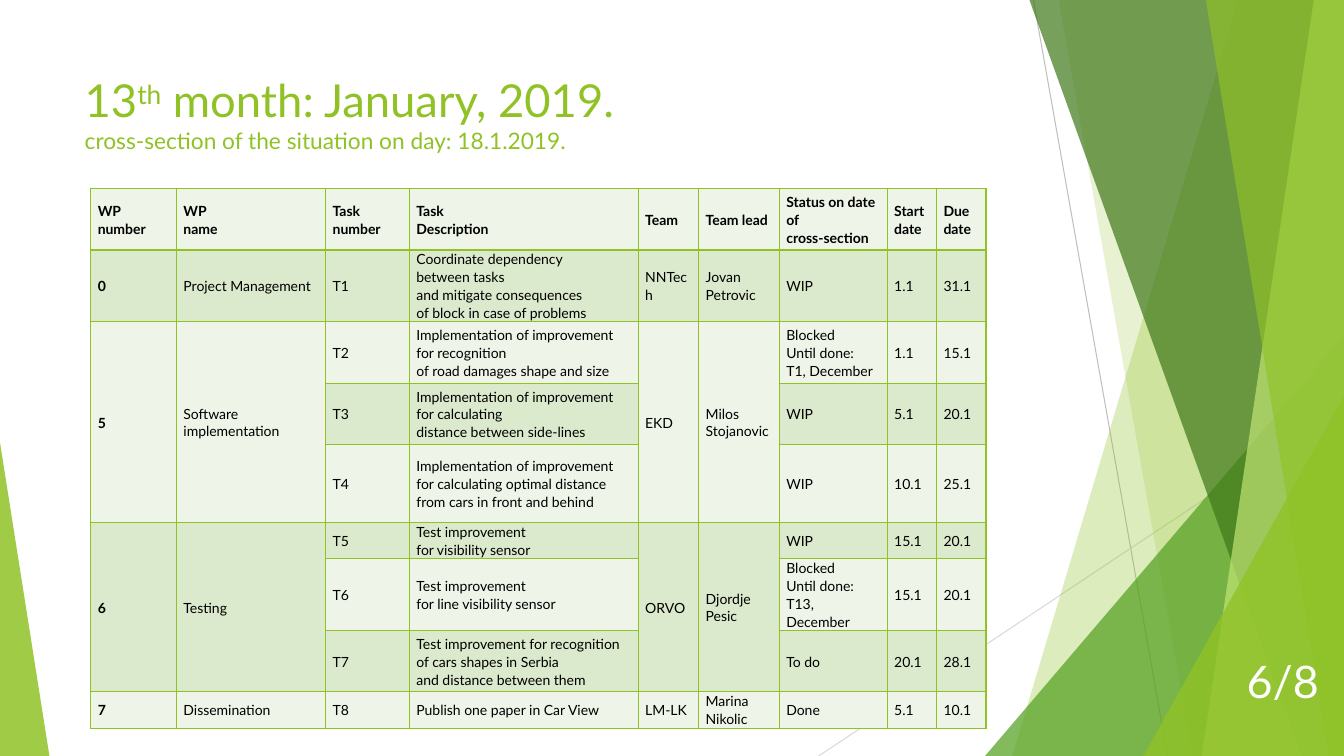
from dataclasses import dataclass

from lxml import etree
from pptx import Presentation
from pptx.dml.color import RGBColor
from pptx.enum.shapes import MSO_CONNECTOR, MSO_SHAPE
from pptx.enum.text import MSO_ANCHOR, MSO_AUTO_SIZE, PP_ALIGN
from pptx.oxml.ns import qn
from pptx.util import Inches, Pt

STRAIGHT = MSO_CONNECTOR.STRAIGHT
TRIANGLE = MSO_SHAPE.ISOSCELES_TRIANGLE
TOP, MIDDLE = MSO_ANCHOR.TOP, MSO_ANCHOR.MIDDLE
NO_FIT = MSO_AUTO_SIZE.NONE
LEFT, RIGHT = PP_ALIGN.LEFT, PP_ALIGN.RIGHT
TITLE_ONLY = 5


@dataclass(frozen=True)
class Theme:
    font: str = "Lato"
    lime: str = "90C226"
    leaf: str = "54A021"
    forest: str = "3F7819"
    pale_lime: str = "C0E474"
    rays: tuple = ("BFBFBF", "D9D9D9")
    bands: tuple = ("EEF4E8", "DBE9CD")
    ink: str = "000000"
    white: str = "FFFFFF"
    title_size: float = 32.4
    subtitle_size: float = 16.2
    cell_size: float = 10
    page_size: float = 32
    ray_width: float = 0.75
    border_width: float = 1
    cell_spacing: float = 1.07


@dataclass(frozen=True)
class Box:
    left: float
    top: float
    width: float
    height: float

    def point(self, column, row):
        return Inches(self.left + column), Inches(self.top + row)

    def frame(self):
        return [Inches(side) for side in (self.left, self.top, self.width, self.height)]


THEME = Theme()
SLIDE = Box(0, 0, 13.33, 7.5)
FACETS = Box(8.12, 0, 5.21, 7.5)
CORNER = Box(0, 4.39, 0.49, 3.11)
HEADING = Box(0.74, 0.67, 9.4, 1.44)
SCHEDULE = Box(0.9, 1.87, 8.88, 5.35)
PAGE = Box(11.42, 6.33, 1.76, 0.85)

COLUMNS = (0.85, 1.48, 0.83, 2.27, 0.6, 0.8, 1.07, 0.49, 0.49)
ROWS = (0.61, 0.71, 0.61, 0.61, 0.77, 0.36, 0.71, 0.61, 0.36)
HEADERS = ("WP\nnumber", "WP\nname", "Task\nnumber", "Task\nDescription", "Team",
           "Team lead", "Status on date of\ncross-section", "Start date", "Due date")
PACKAGE_COLUMNS = (0, 1, 4, 5)
TASK_COLUMNS = (2, 3, 6, 7, 8)
WORK_PACKAGES = (
    (("0", "Project Management", "NNTech", "Jovan\nPetrovic"), (
        ("T1", "Coordinate dependency\nbetween tasks\nand mitigate consequences\n"
               "of block in case of problems", "WIP", "1.1", "31.1"),)),
    (("5", "Software implementation", "EKD", "Milos\nStojanovic"), (
        ("T2", "Implementation of improvement for recognition\nof road damages shape and size",
         "Blocked\nUntil done:\nT1, December", "1.1", "15.1"),
        ("T3", "Implementation of improvement for calculating\ndistance between side-lines",
         "WIP", "5.1", "20.1"),
        ("T4", "Implementation of improvement for calculating optimal distance "
               "from cars in front and behind", "WIP", "10.1", "25.1"))),
    (("6", "Testing", "ORVO", "Djordje\nPesic"), (
        ("T5", "Test improvement\nfor visibility sensor", "WIP", "15.1", "20.1"),
        ("T6", "Test improvement\nfor line visibility sensor",
         "Blocked\nUntil done:\nT13, December", "15.1", "20.1"),
        ("T7", "Test improvement for recognition of cars shapes in Serbia\n"
               "and distance between them", "To do", "20.1", "28.1"))),
    (("7", "Dissemination", "LM-LK", "Marina\nNikolic"), (
        ("T8", "Publish one paper in Car View", "Done", "5.1", "10.1"),)),
)


def add_run(paragraph, text, size, color, bold=False):
    run = paragraph.add_run()
    run.text = text
    run.font.name = THEME.font
    run.font.size = Pt(size)
    run.font.bold = bold
    run.font.color.rgb = RGBColor.from_string(color)
    return run


def paint(facet, color, opacity):
    facet.shadow.inherit = False
    facet.line.fill.background()
    facet.fill.solid()
    facet.fill.fore_color.rgb = RGBColor.from_string(color)
    tint = next(facet.fill._xPr.iter(qn("a:srgbClr")))
    etree.SubElement(tint, qn("a:alpha")).set("val", str(opacity * 1000))


def add_ray(slide, box, start, end, color):
    ray = slide.shapes.add_connector(STRAIGHT, *box.point(*start), *box.point(*end))
    ray.line.width = Pt(THEME.ray_width)
    ray.line.color.rgb = RGBColor.from_string(color)
    etree.SubElement(ray._element.spPr, qn("a:effectLst"))


def add_blade(slide, box, top, bottom, color, opacity):
    outline = slide.shapes.build_freeform(*box.point(top, 0), scale=1.0)
    corners = ((box.width, 0), (box.width, box.height), (bottom, box.height))
    outline.add_line_segments([box.point(*corner) for corner in corners], close=True)
    paint(outline.convert_to_shape(), color, opacity)


def add_wedge(slide, box, apex, color, opacity):
    wedge = slide.shapes.add_shape(TRIANGLE, *box.frame())
    wedge.adjustments[0] = apex
    paint(wedge, color, opacity)


def add_right_wedge(slide, box, width, height, color, opacity):
    left = box.left + box.width - width
    top = box.top + box.height - height
    add_wedge(slide, Box(left, top, width, height), 1, color, opacity)


def add_facets(slide, box):
    add_ray(slide, box, (2.13, 0), (3.46, box.height), THEME.rays[0])
    add_ray(slide, box, (box.width, 4.03), (0, box.height), THEME.rays[1])
    add_blade(slide, box, 4.16, 1.92, THEME.lime, 30)
    add_blade(slide, box, 2.38, 3.71, THEME.lime, 20)
    add_right_wedge(slide, box, 3.56, 4.17, THEME.leaf, 72)
    add_blade(slide, box, 2.09, 4.79, THEME.forest, 70)
    add_blade(slide, box, 4.91, 3.8, THEME.pale_lime, 70)
    add_blade(slide, box, 3.84, 5.06, THEME.lime, 65)
    add_right_wedge(slide, box, 1.99, 3.57, THEME.lime, 80)


def add_heading(slide, box):
    heading = slide.shapes.title
    heading.left, heading.top, heading.width, heading.height = box.frame()
    frame = heading.text_frame
    frame.auto_size = NO_FIT
    frame.vertical_anchor = TOP
    line = frame.paragraphs[0]
    line.alignment = LEFT
    add_run(line, "13", THEME.title_size, THEME.lime)
    ordinal = add_run(line, "th", THEME.title_size, THEME.lime)
    ordinal.font._element.set("baseline", "30000")
    add_run(line, " month: January, 2019.", THEME.title_size, THEME.lime)
    line.add_line_break()
    add_run(line, "cross-section of the situation on day: 18.1.2019.",
            THEME.subtitle_size, THEME.lime)


def style_cell(cell, band):
    cell.margin_left = cell.margin_right = Inches(0.07)
    cell.margin_top = cell.margin_bottom = 0
    cell.vertical_anchor = MIDDLE
    cell.fill.solid()
    cell.fill.fore_color.rgb = RGBColor.from_string(THEME.bands[band])
    properties = cell._tc.get_or_add_tcPr()
    for position, side in enumerate(("lnL", "lnR", "lnT", "lnB")):
        border = etree.Element(qn(f"a:{side}"), w=str(Pt(THEME.border_width)))
        fill = etree.SubElement(border, qn("a:solidFill"))
        etree.SubElement(fill, qn("a:srgbClr")).set("val", THEME.lime)
        properties.insert(position, border)


def write_cell(cell, text, bold):
    for index, words in enumerate(text.split("\n")):
        frame = cell.text_frame
        line = frame.add_paragraph() if index else frame.paragraphs[0]
        line.line_spacing = THEME.cell_spacing
        add_run(line, words, THEME.cell_size, THEME.ink, bold)


def add_schedule(slide, box):
    table = slide.shapes.add_table(len(ROWS), len(COLUMNS), *box.frame()).table
    table.first_row = table.horz_banding = False
    for column, width in zip(table.columns, COLUMNS):
        column.width = Inches(width)
    for index, (row, height) in enumerate(zip(table.rows, ROWS)):
        row.height = Inches(height)
        for cell in row.cells:
            style_cell(cell, index % 2)
    for column, header in enumerate(HEADERS):
        write_cell(table.cell(0, column), header, True)
    first = 1
    for package, tasks in WORK_PACKAGES:
        last = first + len(tasks) - 1
        for column, text in zip(PACKAGE_COLUMNS, package):
            if last > first:
                table.cell(first, column).merge(table.cell(last, column))
            write_cell(table.cell(first, column), text, column == 0)
        for row, task in enumerate(tasks, first):
            for column, text in zip(TASK_COLUMNS, task):
                write_cell(table.cell(row, column), text, False)
        first = last + 1


def add_page_number(slide, box):
    frame = slide.shapes.add_textbox(*box.frame()).text_frame
    frame.word_wrap = True
    frame.vertical_anchor = MIDDLE
    frame.paragraphs[0].alignment = RIGHT
    add_run(frame.paragraphs[0], "6/8", THEME.page_size, THEME.white)


def main():
    deck = Presentation()
    deck.slide_width, deck.slide_height = SLIDE.frame()[2:]
    slide = deck.slides.add_slide(deck.slide_layouts[TITLE_ONLY])
    add_facets(slide, FACETS)
    add_wedge(slide, CORNER, 0, THEME.lime, 85)
    add_heading(slide, HEADING)
    add_schedule(slide, SCHEDULE)
    add_page_number(slide, PAGE)
    deck.save("out.pptx")


if __name__ == "__main__":
    main()
